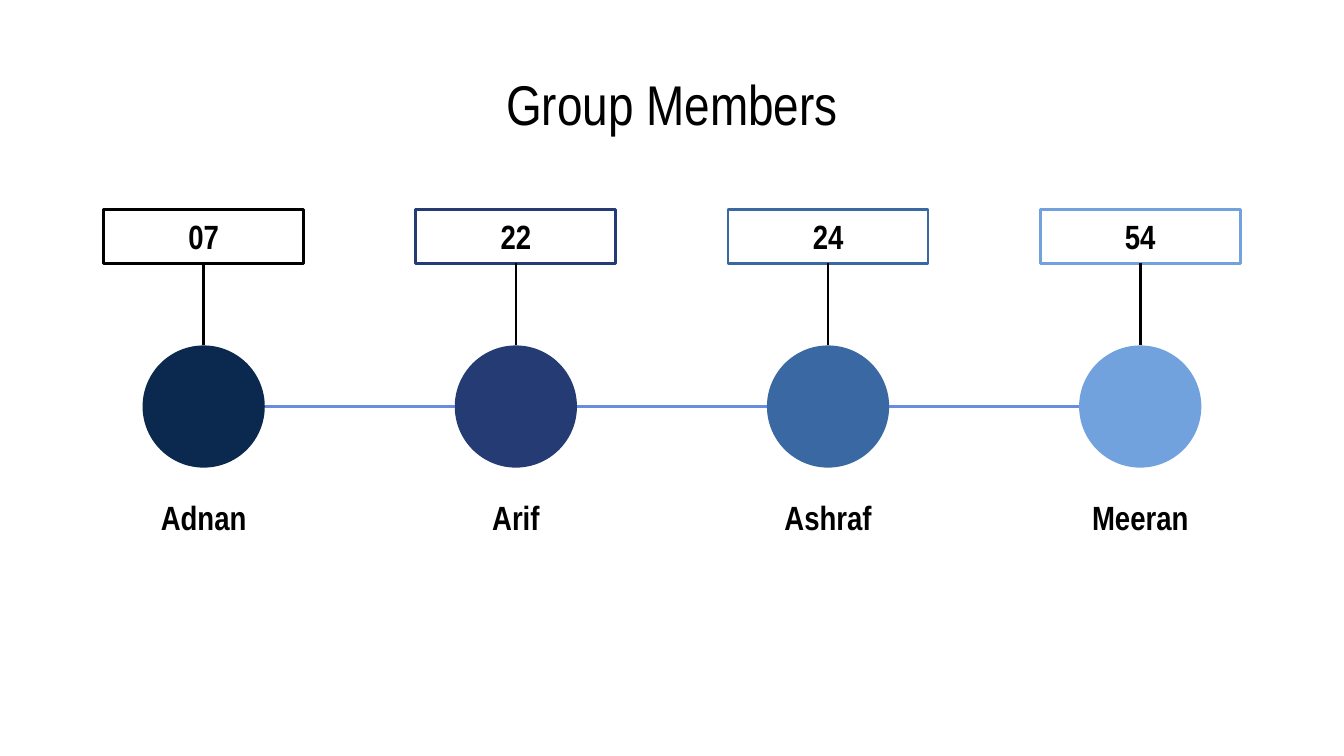
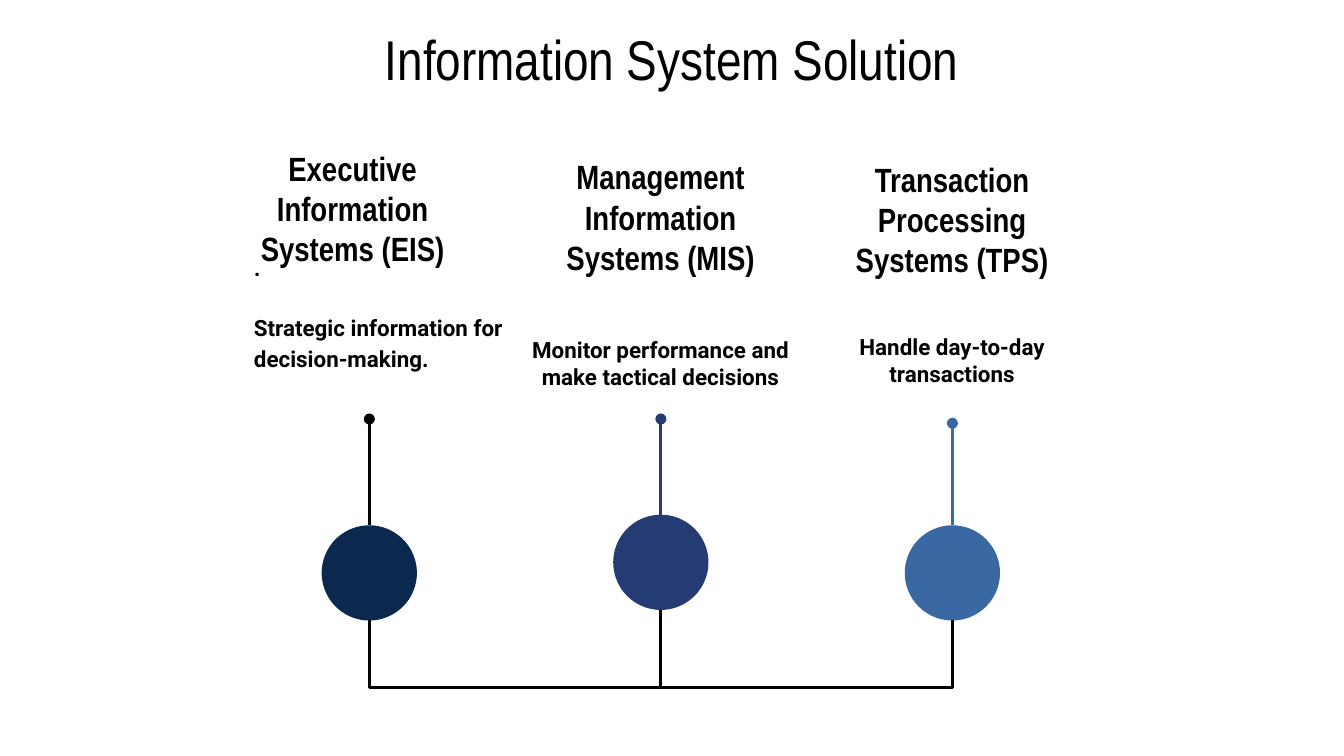
from pptx import Presentation
from pptx.dml.color import RGBColor
from pptx.enum.shapes import MSO_CONNECTOR, MSO_SHAPE
from pptx.enum.text import MSO_ANCHOR, PP_ALIGN
from pptx.oxml.ns import qn
from pptx.util import Cm, Pt
from lxml.etree import SubElement

COLOURS = {
    "black": "000000",
    "navy": "0B294E",
    "indigo": "243B74",
    "steel": "3A68A2",
    "sky": "72A2DD",
    "link": "698CE0",
}
HEADING = {"size": 18, "bold": True}
DETAIL = {"size": 12, "bold": True, "font": "Roboto", "anchor": MSO_ANCHOR.TOP}


def write(page, text, left, top, width, height, size=18, font="Arial Narrow", bold=False,
          align=PP_ALIGN.CENTER, anchor=MSO_ANCHOR.MIDDLE, spacing=None, before=None, border=None):
    place = Cm(left), Cm(top), Cm(width), Cm(height)
    if border:
        box = page.shapes.add_shape(MSO_SHAPE.RECTANGLE, *place)
        box.shadow.inherit = False
        box.fill.background()
        box.line.color.rgb = RGBColor.from_string(COLOURS[border])
        box.line.width = Pt(1.5)
    else:
        box = page.shapes.add_textbox(*place)
    frame = box.text_frame
    frame.word_wrap = True
    frame.vertical_anchor = anchor
    frame.margin_left = frame.margin_right = frame.margin_top = frame.margin_bottom = Cm(0.25)
    frame.text = text
    for para in frame.paragraphs:
        para.alignment = align
        para.line_spacing = spacing
        para.space_before = None if before is None else Pt(before)
        for span in para.runs:
            span.font.name = font
            span.font.size = Pt(size)
            span.font.bold = bold
            span.font.color.rgb = RGBColor.from_string(COLOURS["black"])
    return box


def link(page, start, end, colour="black", kind=MSO_CONNECTOR.STRAIGHT, dot=False):
    line = page.shapes.add_connector(kind, *[Cm(value) for value in (*start, *end)])
    line.line.color.rgb = RGBColor.from_string(COLOURS[colour])
    line.line.width = Pt(1.5)
    properties = line._element.spPr
    if dot:
        SubElement(properties.find(qn("a:ln")), qn("a:headEnd"), type="oval")
    if kind == MSO_CONNECTOR.ELBOW:
        properties.find(qn("a:prstGeom")).set("prst", "bentConnector2")
    SubElement(properties, qn("a:effectLst"))
    return line


deck = Presentation()
deck.slide_width, deck.slide_height = Cm(25.4), Cm(14.29)
members_page, systems_page = [deck.slides.add_slide(deck.slide_layouts[6]) for _ in range(2)]

for page, title, top in [(members_page, "Group Members", 1.5),
                         (systems_page, "Information System Solution", 0.66)]:
    write(page, title, 1.27, top, 22.86, 0.89, size=30)

member_centres = [3.85 + 5.9 * index for index in range(4)]
system_centres = [6.98 + 5.51 * index for index in range(3)]
system_tops = [9.93, 9.73, 9.93]
fills = ["navy", "indigo", "steel", "sky"]
member_circles, system_circles = [], []
for page, circles, centres, tops, diameter in [
    (members_page, member_circles, member_centres, [6.53] * 4, 2.31),
    (systems_page, system_circles, system_centres, system_tops, 1.8),
]:
    for centre, top, fill in zip(centres, tops, fills):
        circle = page.shapes.add_shape(MSO_SHAPE.OVAL, Cm(centre - diameter / 2), Cm(top),
                                       Cm(diameter), Cm(diameter))
        circle.shadow.inherit = False
        circle.fill.solid()
        circle.fill.fore_color.rgb = RGBColor.from_string(COLOURS[fill])
        circle.line.fill.background()
        circles.append(circle)

for left, right in zip(member_centres, member_centres[1:]):
    link(members_page, (left + 1.15, 7.68), (right - 1.15, 7.68), "link")

members = [("Adnan", "07", "black"), ("Arif", "22", "indigo"),
           ("Ashraf", "24", "steel"), ("Meeran", "54", "sky")]
for (name, number, border), centre, circle in zip(members, member_centres, member_circles):
    left = centre - 1.89
    write(members_page, name, left, 9.27, 3.78, 1.02, **HEADING)
    number_box = write(members_page, number, left, 3.96, 3.78, 1.02, border=border, **HEADING)
    stem = link(members_page, (centre, 4.98), (centre, 6.53))
    stem.begin_connect(number_box, 2)
    stem.end_connect(circle, 0)

systems = [
    ("Executive Information Systems (EIS)", 3.91, 3.45),
    ("Management Information Systems (MIS)", 9.73, 3.61),
    ("Transaction Processing Systems (TPS)", 15.24, 3.66),
]
for heading, left, top in systems:
    write(systems_page, heading, left, top, 5.51, 0.97, **HEADING)

write(systems_page, "·\nStrategic information for decision-making.", 4.55, 4.6, 5.51, 1.52,
      align=PP_ALIGN.LEFT, spacing=1.15, before=12, **DETAIL)
write(systems_page, "Monitor performance and make tactical decisions", 9.73, 6.1, 5.51, 1.52, **DETAIL)
write(systems_page, "Handle day-to-day transactions", 15.24, 6.05, 5.51, 1.52, **DETAIL)

junction = (system_centres[1], 13)
link(systems_page, (system_centres[1], 11.53), junction)
for centre in (system_centres[0], system_centres[2]):
    link(systems_page, junction, (centre, 11.73), kind=MSO_CONNECTOR.ELBOW)

for centre, start, top, colour, circle in zip(system_centres, [7.92, 7.92, 8], system_tops,
                                              ["black", "indigo", "steel"], system_circles):
    stem = link(systems_page, (centre, start), (centre, top), colour, dot=True)
    stem.end_connect(circle, 0)

deck.save("out.pptx")
